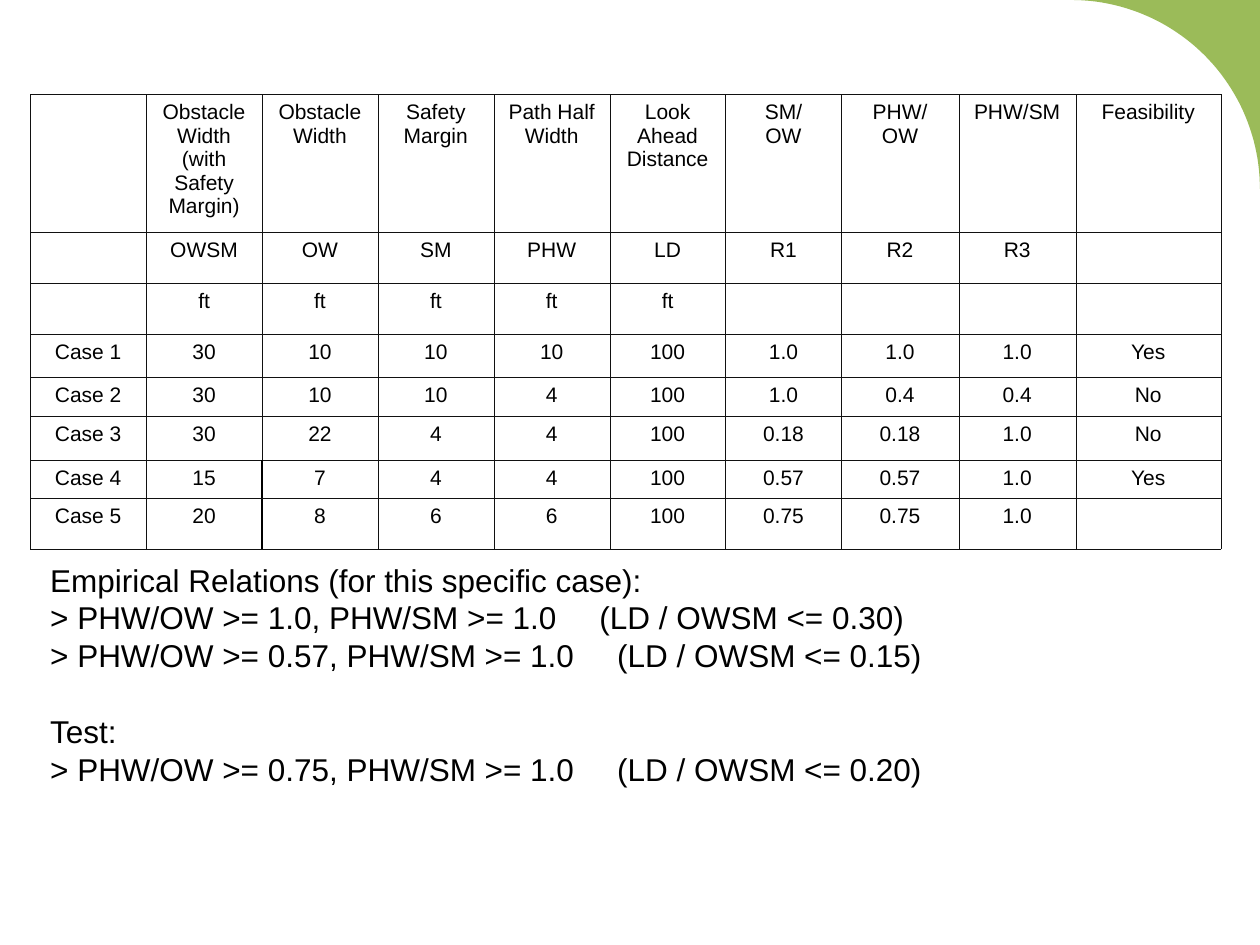
"""Build the path-planning feasibility slide with its case table and relations."""
from math import cos, pi, sin

from lxml.etree import SubElement
from pptx import Presentation
from pptx.dml.color import RGBColor as Color
from pptx.enum.text import PP_ALIGN as Align
from pptx.oxml.ns import qn
from pptx.util import Inches, Pt

THEME = {
    "font": "Arial",
    "text": "000000",
    "corner": "9BBB59",
    "grid": "111111",
    "grid_width": 0.06,
    "accent_line": "000000",
    "accent_width": 1,
    "table_size": 12,
    "body_size": 18,
}

ROWS = [
    ["", "Obstacle Width (with Safety Margin)", "Obstacle Width", "Safety Margin",
     "Path Half Width", "Look Ahead Distance", "SM/\nOW", "PHW/\nOW", "PHW/SM", "Feasibility"],
    ["", "OWSM", "OW", "SM", "PHW", "LD", "R1", "R2", "R3", ""],
    ["", "ft", "ft", "ft", "ft", "ft", "", "", "", ""],
    ["Case 1", "30", "10", "10", "10", "100", "1.0", "1.0", "1.0", "Yes"],
    ["Case 2", "30", "10", "10", "4", "100", "1.0", "0.4", "0.4", "No"],
    ["Case 3", "30", "22", "4", "4", "100", "0.18", "0.18", "1.0", "No"],
    ["Case 4", "15", "7", "4", "4", "100", "0.57", "0.57", "1.0", "Yes"],
    ["Case 5", "20", "8", "6", "6", "100", "0.75", "0.75", "1.0", ""],
]
COLUMN_WIDTHS = [0.92] * 7 + [0.93] * 2 + [1.15]
ROW_HEIGHTS = [1.09, 0.3, 0.29, 0.34, 0.31, 0.35, 0.3, 0.3]
TABLE_LEFT, TABLE_TOP = 0.24, 0.75
ACCENT_ROWS = (6, 7)
ACCENT_SIDES = {(1, "R"), (2, "L")}

RELATIONS = [
    {"text": "Empirical Relations (for this specific case):"},
    {"text": "> PHW/OW >= 1.0, PHW/SM >= 1.0\t(LD / OWSM <= 0.30)", "tab": 4.36},
    {"text": "> PHW/OW >= 0.57, PHW/SM >= 1.0\t(LD / OWSM <= 0.15)", "tab": 4.5},
    {"text": "Test:", "before": 21.6},
    {"text": "> PHW/OW >= 0.75, PHW/SM >= 1.0\t(LD / OWSM <= 0.20)", "tab": 4.5},
]
RELATIONS_BOX = (0.3, 4.4, 8.8, 2)

SLIDE_WIDTH, SLIDE_HEIGHT = 10, 7.5
CORNER_RADIUS = 1.5
ARC_STEPS = 48


def format_font(font, size):
    values = {"name": THEME["font"], "size": Pt(size)}
    for name, value in values.items():
        setattr(font, name, value)
    font.color.rgb = Color.from_string(THEME["text"])


def add_corner(slide):
    center_x = SLIDE_WIDTH - CORNER_RADIUS
    angles = [pi / 2 * step / ARC_STEPS for step in range(ARC_STEPS + 1)]
    arc = [(Inches(center_x + CORNER_RADIUS * cos(angle)),
            Inches(CORNER_RADIUS * (1 - sin(angle)))) for angle in angles]
    builder = slide.shapes.build_freeform(Inches(SLIDE_WIDTH), 0)
    builder.add_line_segments(arc, close=True)
    shape = builder.convert_to_shape()
    shape.shadow.inherit = False
    shape.fill.solid()
    shape.fill.fore_color.rgb = Color.from_string(THEME["corner"])
    shape.line.fill.background()


def add_border(properties, side, color, width):
    line = SubElement(properties, qn(f"a:ln{side}"), w=str(Pt(width)))
    fill = SubElement(line, qn("a:solidFill"))
    SubElement(fill, qn("a:srgbClr"), val=color)


def format_cell(cell, text, row, column):
    properties = cell._tc.get_or_add_tcPr()
    for side in "LRTB":
        accented = row in ACCENT_ROWS and (column, side) in ACCENT_SIDES
        color = THEME["accent_line" if accented else "grid"]
        width = THEME["accent_width" if accented else "grid_width"]
        add_border(properties, side, color, width)
    cell.fill.background()
    if text:
        cell.text = text
        for paragraph in cell.text_frame.paragraphs:
            paragraph.alignment = Align.CENTER
            format_font(paragraph.runs[0].font, THEME["table_size"])


def add_case_table(slide):
    frame = slide.shapes.add_table(
        len(ROWS), len(COLUMN_WIDTHS), Inches(TABLE_LEFT), Inches(TABLE_TOP),
        Inches(sum(COLUMN_WIDTHS)), Inches(sum(ROW_HEIGHTS)))
    table = frame.table
    for name in ("first_row", "horz_banding"):
        setattr(table, name, False)
    for column, width in zip(table.columns, COLUMN_WIDTHS):
        column.width = Inches(width)
    for row, height in zip(table.rows, ROW_HEIGHTS):
        row.height = Inches(height)
    for row, texts in enumerate(ROWS):
        for column, text in enumerate(texts):
            format_cell(table.cell(row, column), text, row, column)


def add_relations(slide):
    box = slide.shapes.add_textbox(*map(Inches, RELATIONS_BOX))
    frame = box.text_frame
    frame.word_wrap = True
    for index, relation in enumerate(RELATIONS):
        paragraph = frame.add_paragraph() if index else frame.paragraphs[0]
        run = paragraph.add_run()
        run.text = relation["text"]
        format_font(run.font, THEME["body_size"])
        if "before" in relation:
            paragraph.space_before = Pt(relation["before"])
        if "tab" in relation:
            tabs = SubElement(paragraph._p.get_or_add_pPr(), qn("a:tabLst"))
            SubElement(tabs, qn("a:tab"), pos=str(Inches(relation["tab"])), algn="l")


def main():
    presentation = Presentation()
    presentation.slide_width = Inches(SLIDE_WIDTH)
    presentation.slide_height = Inches(SLIDE_HEIGHT)
    slide = presentation.slides.add_slide(presentation.slide_layouts[6])
    add_corner(slide)
    add_case_table(slide)
    add_relations(slide)
    presentation.save("out.pptx")


if __name__ == "__main__":
    main()
